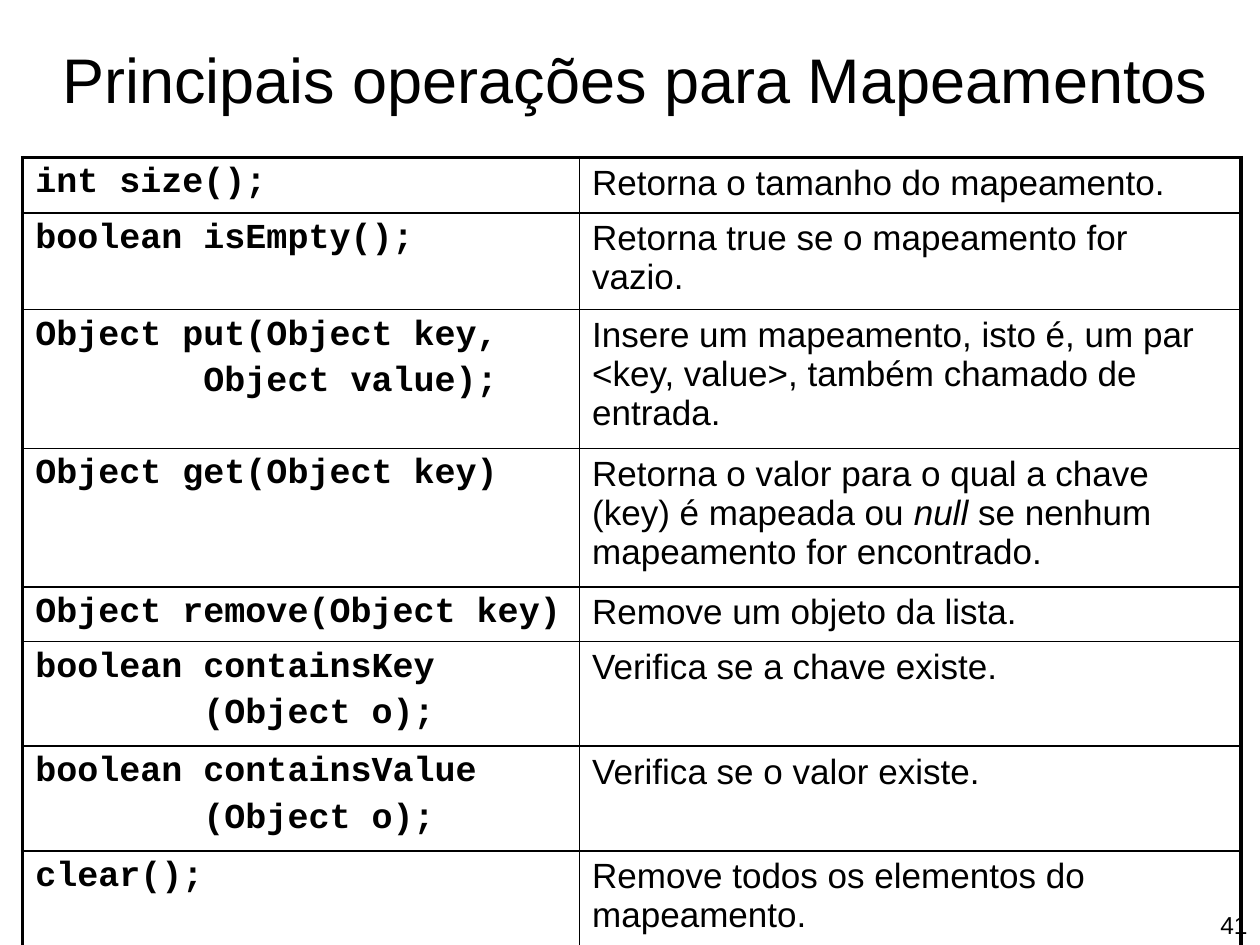
"""Build a slide with a table of the main map operations."""
from lxml import etree
from pptx import Presentation
from pptx import util as u
from pptx.dml.color import RGBColor
from pptx.enum import text as t
from pptx.oxml.ns import qn

THEME = {"ink": "000000", "sans": "Arial", "mono": "Courier New",
         "title": 36, "body": 20, "page": 14, "thin": 1, "thick": 2.25}
TITLE = "Principais operações para Mapeamentos"
PAGE = "41"
COLS = (4.42, 5.25)
ROWS = [
    (0.44, ["int size();"], ["Retorna o tamanho do mapeamento."]),
    (0.72, ["boolean isEmpty();"], ["Retorna true se o mapeamento for vazio."]),
    (1.1, ["Object put(Object key,", "        Object value);"],
     ["Insere um mapeamento, isto é, um par <key, value>, também chamado de entrada."]),
    (1.1, ["Object get(Object key)"],
     ["Retorna o valor para o qual a chave (key) é mapeada ou *null* se nenhum "
      "mapeamento for encontrado."]),
    (0.43, ["Object remove(Object key)"], ["Remove um objeto da lista."]),
    (0.83, ["boolean containsKey", "        (Object o);"], ["Verifica se a chave existe."]),
    (0.83, ["boolean containsValue", "        (Object o);"], ["Verifica se o valor existe."]),
    (0.77, ["clear();"], ["Remove todos os elementos do mapeamento."]),
]


def write(frame, lines, size, face="sans", bold=False, align=t.PP_ALIGN.LEFT):
    frame.word_wrap = True
    for i, line in enumerate(lines):
        para = frame.add_paragraph() if i else frame.paragraphs[0]
        para.alignment = align
        para.space_before = u.Pt(4 if i else 0)
        font = para.font
        font.name, font.size, font.bold = THEME[face], u.Pt(THEME[size]), bold
        font.color.rgb = RGBColor.from_string(THEME["ink"])
        for j, part in enumerate(line.split("*")):
            run = para.add_run()
            run.text = part
            if j % 2:
                run.font.italic = True


def edge(cell, outer):
    props = cell._tc.get_or_add_tcPr()
    for i, (side, thick) in enumerate(outer.items()):
        width = u.Pt(THEME["thick" if thick else "thin"])
        line = etree.Element(qn("a:ln" + side), w=str(int(width)))
        fill = etree.SubElement(line, qn("a:solidFill"))
        etree.SubElement(fill, qn("a:srgbClr"), val=THEME["ink"])
        props.insert(i, line)


def place(shape, *box):
    shape.left, shape.top, shape.width, shape.height = map(u.Inches, box)


def main():
    prs = Presentation()
    prs.slide_width, prs.slide_height = u.Inches(10), u.Inches(7.5)
    slide = prs.slides.add_slide(prs.slide_layouts[5])

    title = slide.shapes.title
    place(title, 0.33, 0.33, 9.42, 0.58)
    frame = title.text_frame
    frame.auto_size = t.MSO_AUTO_SIZE.NONE
    frame.vertical_anchor = t.MSO_ANCHOR.MIDDLE
    write(frame, [TITLE], "title", align=t.PP_ALIGN.CENTER)

    page = slide.shapes.add_textbox(*map(u.Inches, (7.67, 7.17, 2.33, 0.25)))
    write(page.text_frame, [PAGE], "page", align=t.PP_ALIGN.RIGHT)

    high = sum(row[0] for row in ROWS)
    box = map(u.Inches, (0.18, 1.25, sum(COLS), high))
    table = slide.shapes.add_table(len(ROWS), len(COLS), *box).table
    table.first_row = table.horz_banding = False
    for col, width in zip(table.columns, COLS):
        col.width = u.Inches(width)
    for r, (height, *texts) in enumerate(ROWS):
        table.rows[r].height = u.Inches(height)
        for c, lines in enumerate(texts):
            cell = table.cell(r, c)
            cell.fill.background()
            code = c == 0
            write(cell.text_frame, lines, "body", "mono" if code else "sans", code)
            edge(cell, {"L": c == 0, "R": c == len(COLS) - 1,
                        "T": r == 0, "B": r == len(ROWS) - 1})

    prs.save("out.pptx")


if __name__ == "__main__":
    main()
